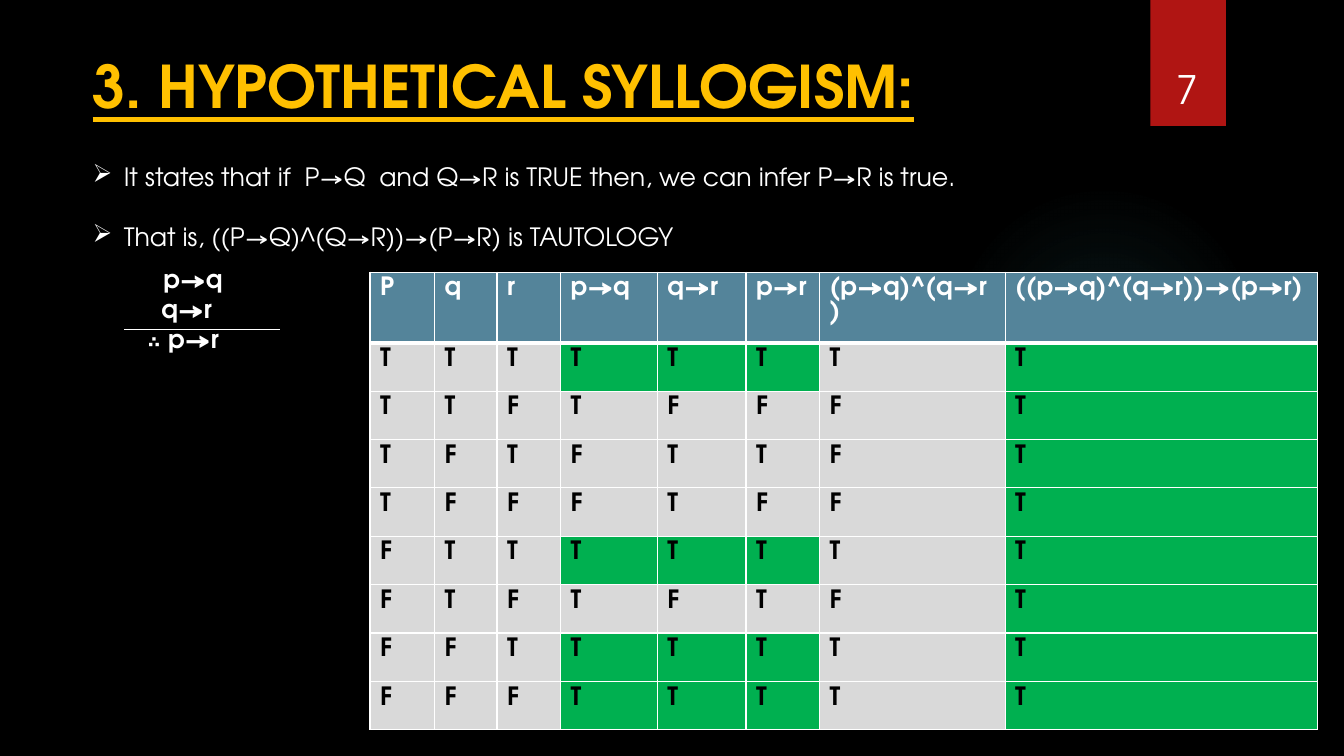
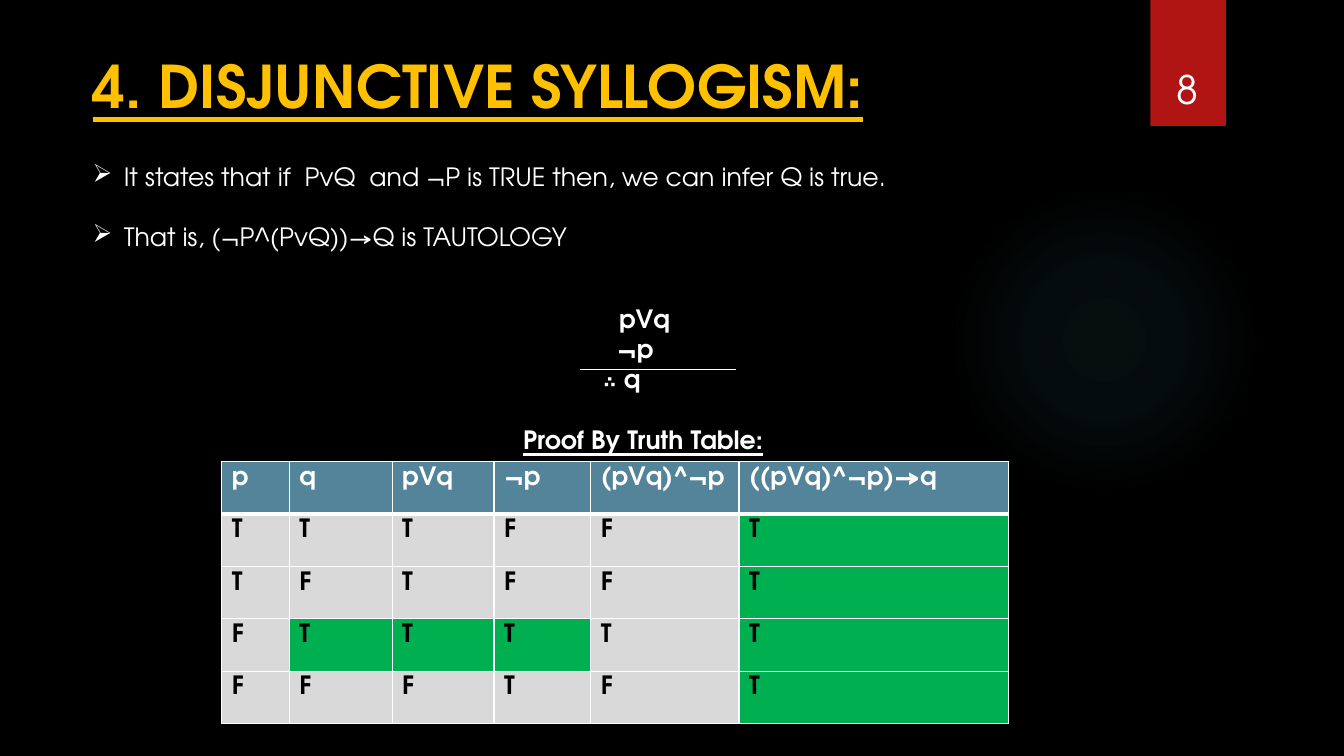
from lxml.etree import SubElement
from pptx import Presentation
from pptx.dml.color import RGBColor
from pptx.enum.shapes import MSO_CONNECTOR, MSO_SHAPE
from pptx.enum.text import MSO_ANCHOR, PP_ALIGN
from pptx.oxml import parse_xml
from pptx.oxml.ns import nsdecls, qn
from pptx.util import Inches, Pt

FONT = "TeX Gyre Adventor"
BLACK = RGBColor(0x00, 0x00, 0x00)
WHITE = RGBColor(0xFF, 0xFF, 0xFF)
GOLD = RGBColor(0xFF, 0xC0, 0x00)
RED = RGBColor(0xB0, 0x15, 0x13)
TEAL = RGBColor(0x50, 0xB9, 0xC1)
HEADER_BLUE = RGBColor(0x54, 0x84, 0x9A)
CELL_GRAY = RGBColor(0xD9, 0xD9, 0xD9)
TRUE_GREEN = RGBColor(0x00, 0xB0, 0x50)
GLOW_STOPS = ((0, 7), (36, 6), (69, 0))
STEP_INDENTS = (0.39, 0.37, 0.23)


def style_text(text_frame, size, color=WHITE, bold=False, underline=False):
    """Format every run of a text frame."""
    for paragraph in text_frame.paragraphs:
        for run in paragraph.runs:
            run.font.name = FONT
            run.font.size = Pt(size)
            run.font.bold = bold
            run.font.underline = underline
            run.font.color.rgb = color


def add_text(slide, box, text, size, **style):
    """Add a wrapped text box and return its text frame."""
    shape = slide.shapes.add_textbox(*(Inches(length) for length in box))
    text_frame = shape.text_frame
    text_frame.word_wrap = True
    text_frame.text = text
    style_text(text_frame, size, **style)
    return text_frame


def add_glow(slide, box):
    """Add the soft round glow behind the content."""
    glow = slide.shapes.add_shape(MSO_SHAPE.OVAL, *(Inches(length) for length in box))
    glow.shadow.inherit = False
    glow.line.fill.background()
    stops = "".join(
        f'<a:gs pos="{position * 1000}"><a:srgbClr val="{TEAL}">'
        f'<a:alpha val="{opacity * 1000}"/></a:srgbClr></a:gs>'
        for position, opacity in GLOW_STOPS
    )
    gradient = parse_xml(
        f'<a:gradFill {nsdecls("a")} rotWithShape="1"><a:gsLst>{stops}</a:gsLst>'
        '<a:path path="circle"><a:fillToRect l="50000" t="50000" r="50000" b="50000"/>'
        "</a:path></a:gradFill>"
    )
    glow._element.spPr.find(qn("a:prstGeom")).addnext(gradient)


def add_page_tab(slide, box, number):
    """Add the red tab at the top edge with the page number."""
    left, top, width, height = box
    tab = slide.shapes.add_shape(MSO_SHAPE.RECTANGLE, *(Inches(length) for length in box))
    tab.shadow.inherit = False
    tab.fill.solid()
    tab.fill.fore_color.rgb = RED
    tab.line.fill.background()
    number_box = (left - 0.09, top + 0.32, width + 0.17, 0.84)
    text_frame = add_text(slide, number_box, str(number), 28)
    text_frame.vertical_anchor = MSO_ANCHOR.BOTTOM
    text_frame.paragraphs[0].alignment = PP_ALIGN.CENTER


def add_bullets(slide, box, lines):
    """Add double-spaced lines with arrow bullets."""
    text_frame = add_text(slide, box, "\n".join(lines), 18)
    for paragraph in text_frame.paragraphs:
        paragraph.line_spacing = 2.0
        properties = paragraph._p.get_or_add_pPr()
        properties.set("marL", str(Inches(0.31)))
        properties.set("indent", str(-Inches(0.31)))
        SubElement(properties, qn("a:buChar")).set("char", "➢")


def add_inference(slide, box, steps):
    """Add two premises and the conclusion under a rule."""
    left, top, width, height = box
    text_frame = add_text(slide, box, "\n".join(steps), 18, bold=True)
    text_frame.margin_left = text_frame.margin_right = 0
    for paragraph, indent in zip(text_frame.paragraphs, STEP_INDENTS):
        paragraph._p.get_or_add_pPr().set("marL", str(Inches(indent)))
    rule_top = Inches(top + 0.71)
    rule = slide.shapes.add_connector(
        MSO_CONNECTOR.STRAIGHT, Inches(left), rule_top, Inches(left + width), rule_top
    )
    rule.line.color.rgb = WHITE
    rule.line.width = Pt(0.75)
    SubElement(rule._element.spPr, qn("a:effectLst"))


def set_borders(cell, top, bottom):
    """Give a cell white borders with the top and bottom widths in points."""
    properties = cell._tc.get_or_add_tcPr()
    widths = {"lnL": 1, "lnR": 1, "lnT": top, "lnB": bottom}
    for position, (side, width) in enumerate(widths.items()):
        border = parse_xml(
            f'<a:{side} {nsdecls("a")} w="{Pt(width)}"><a:solidFill>'
            f'<a:srgbClr val="{WHITE}"/></a:solidFill></a:{side}>'
        )
        properties.insert(position, border)


def add_truth_table(slide, left, top, widths, heights, headings, rows, key_columns):
    """Add a truth table, marking the result column and rows whose key columns all hold."""
    header_height, row_height = heights
    total_height = header_height + row_height * len(rows)
    frame = slide.shapes.add_table(
        len(rows) + 1, len(widths), Inches(left), Inches(top),
        Inches(sum(widths)), Inches(total_height),
    )
    table = frame.table
    for column, width in zip(table.columns, widths):
        column.width = Inches(width)
    for row_index, values in enumerate([headings, *rows]):
        is_header = row_index == 0
        table.rows[row_index].height = Inches(header_height if is_header else row_height)
        proves = all(values[key] == "T" for key in key_columns)
        for column_index, value in enumerate(values):
            cell = table.cell(row_index, column_index)
            cell.text_frame.text = value
            style_text(cell.text_frame, 18, color=WHITE if is_header else BLACK, bold=True)
            is_result = column_index == len(widths) - 1
            marked = is_result or (proves and column_index in key_columns)
            cell.fill.solid()
            body_color = TRUE_GREEN if marked else CELL_GRAY
            cell.fill.fore_color.rgb = HEADER_BLUE if is_header else body_color
            set_borders(cell, 3 if row_index == 1 else 1, 3 if is_header else 1)


def add_rule_slide(presentation, number, title, bullets):
    """Add a slide with the shared background, tab, title and bullets."""
    slide = presentation.slides.add_slide(presentation.slide_layouts[6])
    slide.background.fill.solid()
    slide.background.fill.fore_color.rgb = BLACK
    add_glow(slide, (9.41, 1.83, 3.08, 3.08))
    add_page_tab(slide, (11.41, 0, 0.75, 1.25), number)
    add_text(slide, (0.82, 0.44, 9.33, 0.98), title, 42, color=GOLD, bold=True, underline=True)
    add_bullets(slide, (0.82, 1.25, 12.23, 1.31), bullets)
    return slide


def add_hypothetical_slide(presentation):
    """Add the hypothetical syllogism with its truth table."""
    slide = add_rule_slide(presentation, 7, "3. HYPOTHETICAL SYLLOGISM:", (
        "It states that if  P→Q  and Q→R is TRUE then, we can infer P→R is true.",
        "That is, ((P→Q)^(Q→R))→(P→R) is TAUTOLOGY",
    ))
    add_inference(slide, (1.23, 2.56, 1.55, 1.0), ("p→q", "q→r", "∴ p→r"))
    add_truth_table(
        slide, 3.67, 2.7,
        (0.64, 0.62, 0.63, 0.96, 0.88, 0.73, 1.84, 3.1), (0.7, 0.48),
        ("P", "q", "r", "p→q", "q→r", "p→r", "(p→q)^(q→r)", "((p→q)^(q→r))→(p→r)"),
        ("TTTTTTTT", "TTFTFFFT", "TFTFTTFT", "TFFFTFFT",
         "FTTTTTTT", "FTFTFTFT", "FFTTTTTT", "FFFTTTTT"),
        (3, 4, 5),
    )


def add_disjunctive_slide(presentation):
    """Add the disjunctive syllogism with its truth table."""
    slide = add_rule_slide(presentation, 8, "4. DISJUNCTIVE SYLLOGISM:", (
        "It states that if  PvQ  and ¬P is TRUE then, we can infer Q is true.",
        "That is, (¬P^(PvQ))→Q is TAUTOLOGY",
    ))
    add_inference(slide, (5.75, 2.96, 1.55, 1.0), ("pVq", "¬p", "∴ q"))
    add_text(slide, (5.09, 4.16, 3, 0.4), "Proof By Truth Table:", 18, bold=True, underline=True)
    add_truth_table(
        slide, 2.2, 4.58,
        (0.67, 1.02, 1.01, 0.96, 1.47, 2.67), (0.52, 0.52),
        ("p", "q", "pVq", "¬p", "(pVq)^¬p", "((pVq)^¬p)→q"),
        ("TTTFFT", "TFTFFT", "FTTTTT", "FFFTFT"),
        (1, 2, 3),
    )


def main():
    """Build and save the presentation."""
    presentation = Presentation()
    presentation.slide_width = Inches(13.33)
    presentation.slide_height = Inches(7.5)
    add_hypothetical_slide(presentation)
    add_disjunctive_slide(presentation)
    presentation.save("out.pptx")


main()
